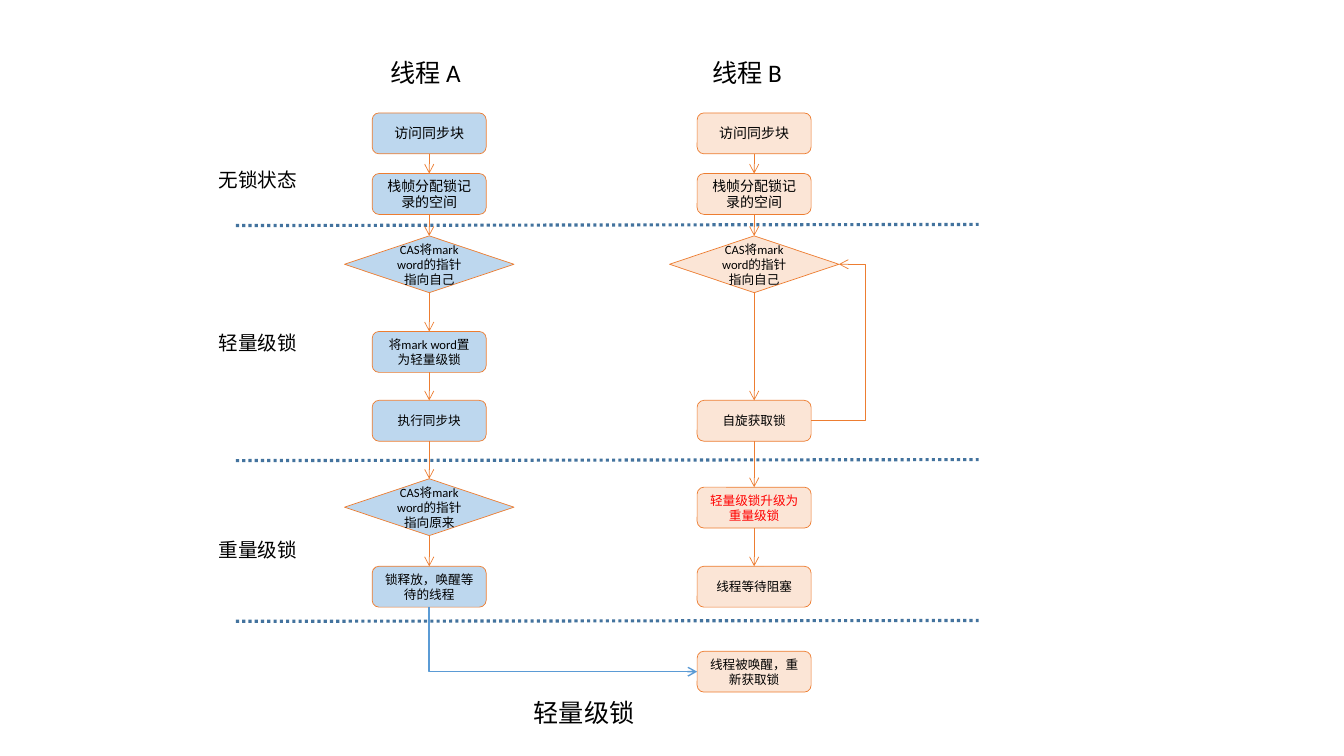
from dataclasses import dataclass
from itertools import pairwise

from lxml.etree import SubElement
from pptx import Presentation
from pptx.dml.color import RGBColor
from pptx.enum.dml import MSO_LINE
from pptx.enum.shapes import MSO_CONNECTOR, MSO_SHAPE
from pptx.enum.text import MSO_ANCHOR, MSO_AUTO_SIZE, PP_ALIGN
from pptx.oxml.ns import qn
from pptx.shapes.autoshape import Shape
from pptx.shapes.connector import Connector
from pptx.slide import Slide
from pptx.text.text import TextFrame
from pptx.util import Pt

BLACK = RGBColor(0x00, 0x00, 0x00)
RED = RGBColor(0xFF, 0x00, 0x00)
ORANGE = RGBColor(0xED, 0x7D, 0x31)
BLUE = RGBColor(0x5B, 0x9B, 0xD5)
DARK_BLUE = RGBColor(0x43, 0x73, 0x9E)
PALE_BLUE = RGBColor(0xBD, 0xD7, 0xEE)
PALE_ORANGE = RGBColor(0xFB, 0xE5, 0xD6)

FONT = "Calibri"
STEP_SIZE = (81.4, 29.2)
DECISION_SIZE = (121, 40.6)
TOP, BOTTOM, RIGHT, LEFT = 0, 2, 3, 1  # connection sites


@dataclass(frozen=True)
class Step:
    """One box of a thread's flow."""
    text: str
    top: float
    font_size: float = 9
    decision: bool = False
    color: RGBColor = BLACK


@dataclass(frozen=True)
class Lane:
    """One thread: its heading and its column of steps."""
    heading: str
    heading_left: float
    center: float
    fill: RGBColor
    steps: tuple[Step, ...]


@dataclass(frozen=True)
class Phase:
    """A lock state: its label and the dotted line that closes it."""
    label: str
    label_top: float
    line_start: float
    line_end: float


START = (
    Step("访问同步块", 80.7, 10),
    Step("栈帧分配锁记录的空间", 124, 10),
    Step("CAS将mark word的指针指向自己", 168.5, decision=True),
)
LANE_A = Lane("线程 A", 243.4, 306.6, PALE_BLUE, START + (
    Step("将mark word置为轻量级锁", 236.8),
    Step("执行同步块", 286),
    Step("CAS将mark word的指针指向原来", 342, decision=True),
    Step("锁释放，唤醒等待的线程", 404.5),
))
LANE_B = Lane("线程 B", 473, 538.7, PALE_ORANGE, START + (
    Step("自旋获取锁", 286),
    Step("轻量级锁升级为重量级锁", 348, color=RED),
    Step("线程等待阻塞", 404.5),
))
WOKEN = Step("线程被唤醒，重新获取锁", 465.2)
PHASES = (
    Phase("无锁状态", 116.6, 161.1, 160.3),
    Phase("轻量级锁", 232.9, 329, 328.3),
    Phase("重量级锁", 380.5, 443.8, 443.2),
)


def format_text(frame: TextFrame, text: str, size: float,
                align: PP_ALIGN = PP_ALIGN.CENTER, color: RGBColor = BLACK) -> None:
    """Put one formatted paragraph into a text frame."""
    frame.text = text
    frame.word_wrap = True
    para = frame.paragraphs[0]
    para.alignment = align
    font = para.runs[0].font
    font.name, font.size, font.color.rgb = FONT, Pt(size), color


def add_label(page: Slide, text: str, left: float, top: float, width: float,
              size: float, align: PP_ALIGN = PP_ALIGN.CENTER) -> None:
    """Add a plain line of text."""
    box = page.shapes.add_textbox(Pt(left), Pt(top), Pt(width), Pt(size * 1.6))
    format_text(box.text_frame, text, size, align)


def add_step(page: Slide, lane: Lane, step: Step) -> Shape:
    """Draw a step centred on its lane."""
    width, height = DECISION_SIZE if step.decision else STEP_SIZE
    kind = MSO_SHAPE.DIAMOND if step.decision else MSO_SHAPE.ROUNDED_RECTANGLE
    box = page.shapes.add_shape(kind, Pt(lane.center - width / 2), Pt(step.top),
                                Pt(width), Pt(height))
    box.shadow.inherit = False
    box.fill.solid()
    box.fill.fore_color.rgb = lane.fill
    box.line.color.rgb = ORANGE
    box.line.width = Pt(0.5)
    box.text_frame.vertical_anchor = MSO_ANCHOR.MIDDLE
    format_text(box.text_frame, step.text, step.font_size, color=step.color)
    return box


def style_line(line: Connector, color: RGBColor, width: float) -> None:
    """Set a connector's stroke and remove its shadow."""
    line.line.color.rgb = color
    line.line.width = Pt(width)
    SubElement(line._element.spPr, qn("a:effectLst"))


def add_arrow(page: Slide, start: Shape, start_site: int, end: Shape, end_site: int,
              kind: MSO_CONNECTOR = MSO_CONNECTOR.STRAIGHT,
              color: RGBColor = ORANGE, width: float = 0.5) -> Connector:
    """Join two steps with an open arrowhead at the end."""
    arrow = page.shapes.add_connector(kind, 0, 0, 0, 0)
    arrow.begin_connect(start, start_site)
    arrow.end_connect(end, end_site)
    style_line(arrow, color, width)
    SubElement(arrow.line._get_or_add_ln(), qn("a:tailEnd"), type="arrow")
    return arrow


def bulge_right(arrow: Connector, ratio: float) -> None:
    """Move an elbow's middle segment to a share of the arrow's width."""
    guides = arrow._element.spPr.find(qn("a:prstGeom")).get_or_add_avLst()
    SubElement(guides, qn("a:gd"), name="adj1", fmla=f"val {round(ratio * 100000)}")


def turn_down_first(arrow: Connector) -> None:
    """Make an elbow run down and then right, with a single bend."""
    middle_x = arrow.left + arrow.width // 2
    middle_y = arrow.top + arrow.height // 2
    arrow.width, arrow.height = arrow.height, arrow.width
    arrow.left = middle_x - arrow.width // 2
    arrow.top = middle_y - arrow.height // 2
    properties = arrow._element.spPr
    properties.find(qn("a:prstGeom")).set("prst", "bentConnector2")
    frame = properties.find(qn("a:xfrm"))
    frame.set("rot", "5400000")
    frame.set("flipV", "1")


def add_lane(page: Slide, lane: Lane) -> list[Shape]:
    """Draw a thread's heading, steps and the arrows between them."""
    add_label(page, lane.heading, lane.heading_left, 37.4, 121, 18)
    boxes = [add_step(page, lane, step) for step in lane.steps]
    for upper, lower in pairwise(boxes):
        add_arrow(page, upper, BOTTOM, lower, TOP)
    return boxes


def add_phase(page: Slide, phase: Phase) -> None:
    """Draw a lock state's label and closing line."""
    add_label(page, phase.label, 149, phase.label_top, 80, 14, PP_ALIGN.LEFT)
    line = page.shapes.add_connector(MSO_CONNECTOR.STRAIGHT, Pt(168.5),
                                     Pt(phase.line_start), Pt(699), Pt(phase.line_end))
    style_line(line, DARK_BLUE, 2.25)
    line.line.dash_style = MSO_LINE.ROUND_DOT


def add_title(page: Slide, text: str) -> None:
    """Place the title below the diagram."""
    title = page.shapes.title
    title.left, title.top, title.width, title.height = Pt(356), Pt(494.6), Pt(122.4), Pt(29)
    format_text(title.text_frame, text, 18)
    title.text_frame.auto_size = MSO_AUTO_SIZE.NONE
    title.text_frame.vertical_anchor = MSO_ANCHOR.TOP


def main() -> None:
    """Build the lightweight lock flow chart."""
    deck = Presentation()
    deck.slide_width, deck.slide_height = Pt(960), Pt(540)
    page = deck.slides.add_slide(deck.slide_layouts[5])
    add_title(page, "轻量级锁")
    for phase in PHASES:
        add_phase(page, phase)
    boxes_a = add_lane(page, LANE_A)
    boxes_b = add_lane(page, LANE_B)
    woken = add_step(page, LANE_B, WOKEN)
    compare, spin = boxes_b[2:4]
    retry = add_arrow(page, spin, RIGHT, compare, RIGHT, MSO_CONNECTOR.ELBOW)
    bulge_right(retry, 1.95)
    wake = add_arrow(page, boxes_a[-1], BOTTOM, woken, LEFT, MSO_CONNECTOR.ELBOW, BLUE, 1)
    turn_down_first(wake)
    deck.save("out.pptx")


main()
